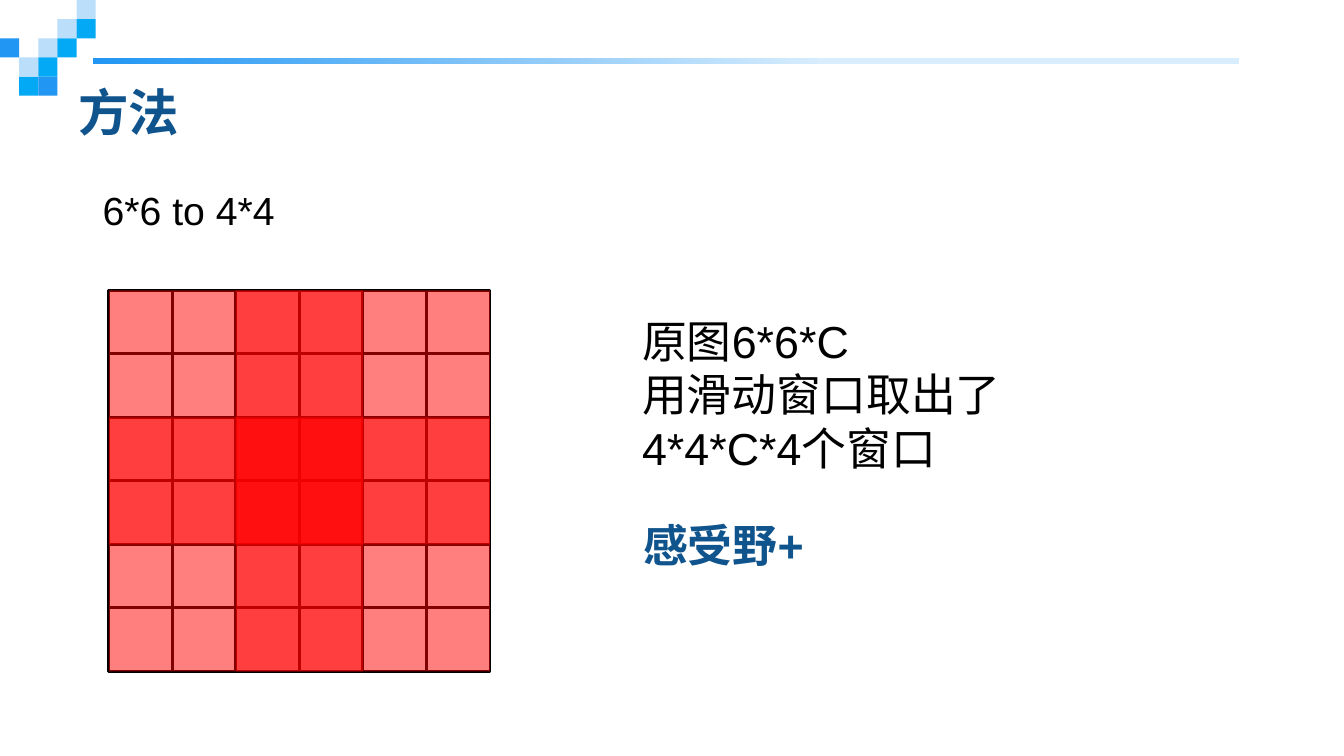
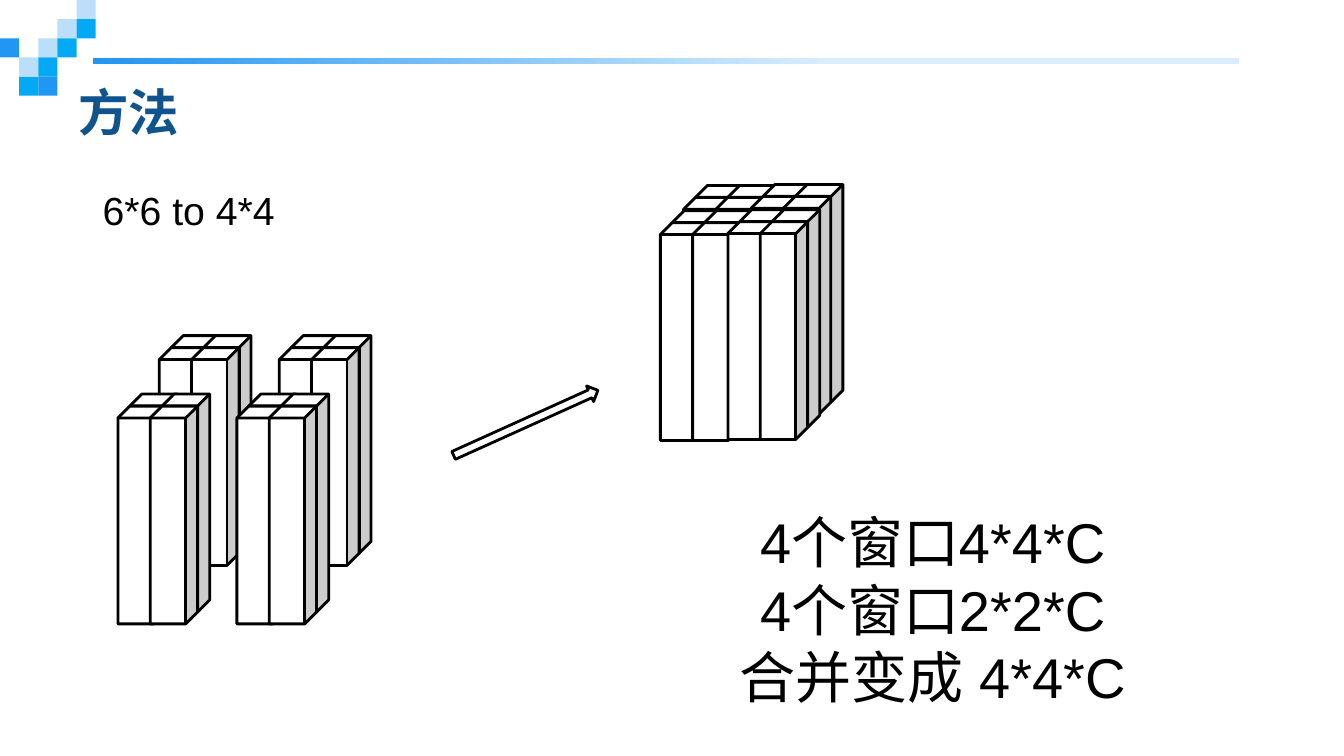
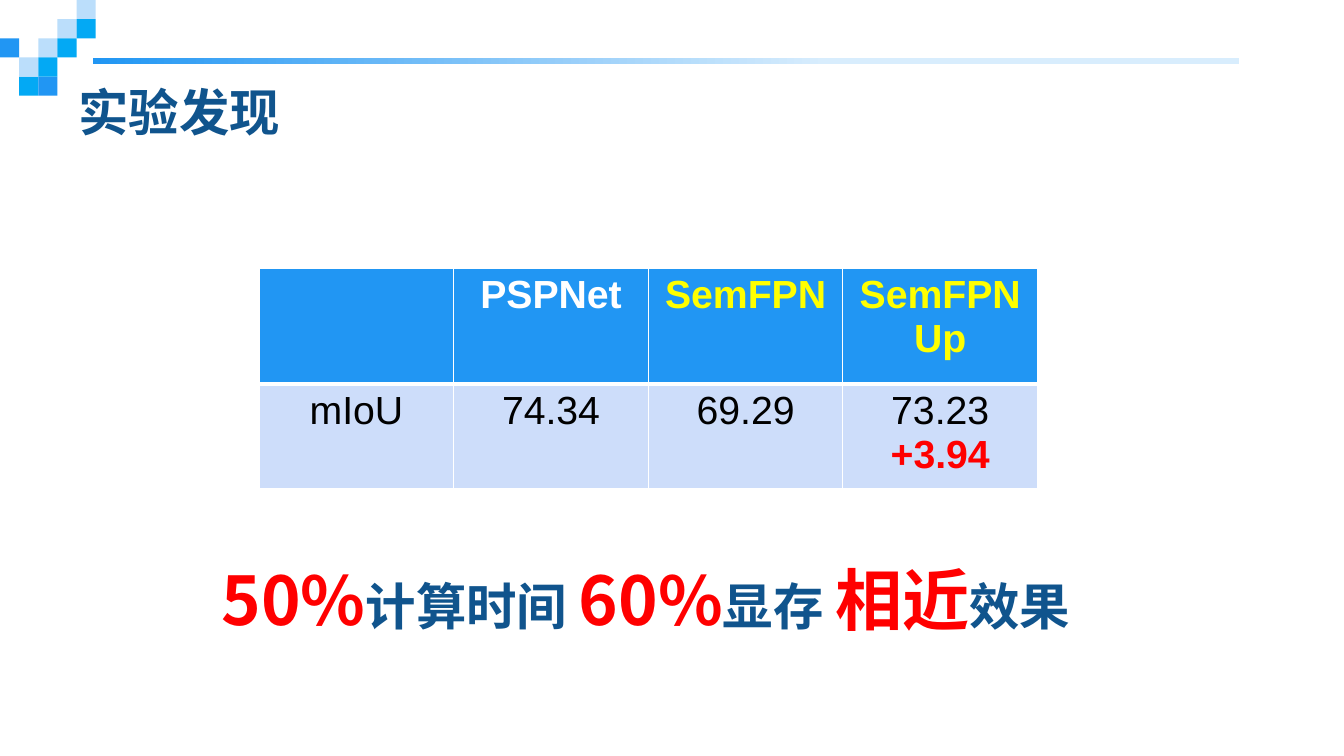
"""Build three slides on window-based downsampling and its results."""
from dataclasses import dataclass
from itertools import product

from lxml.etree import SubElement
from pptx import Presentation
from pptx.dml.color import RGBColor
from pptx.enum.shapes import MSO_SHAPE
from pptx.enum.text import MSO_ANCHOR, MSO_AUTO_SIZE, PP_ALIGN
from pptx.oxml.ns import qn
from pptx.shapes.autoshape import Shape
from pptx.slide import Slide
from pptx.table import _Cell
from pptx.text.text import TextFrame
from pptx.util import Inches, Pt

COLORS = {
    "white": "FFFFFF",
    "black": "000000",
    "navy": "10548D",
    "blue": "2196F3",
    "sky": "03A9F4",
    "pale": "BBDEFB",
    "mist": "D8EDFD",
    "body": "CDDDFA",
    "red": "FF0000",
    "yellow": "FFFF00",
}
ARIAL = "Arial"
NOTO = "Noto Sans CJK SC"
PAGELLA = "TeX Gyre Pagella"


@dataclass(frozen=True)
class Span:
    """A run of text with its look."""
    text: str
    size: float = 28
    color: str = "black"
    bold: bool = False
    font: str = ARIAL


@dataclass(frozen=True)
class Box:
    """A rectangle in inches."""
    left: float
    top: float
    width: float
    height: float


@dataclass(frozen=True)
class Tile:
    """A square of the corner mosaic."""
    column: int
    row: int
    color: str


@dataclass(frozen=True)
class Bundle:
    """The place of a two by two bundle of bars."""
    left: float
    top: float


Lines = list[list[Span]]

TILE_SIZE = 0.19
TILES = [
    Tile(1, 4, "sky"), Tile(3, 1, "pale"), Tile(4, 0, "pale"), Tile(2, 4, "blue"),
    Tile(4, 1, "sky"), Tile(2, 2, "pale"), Tile(0, 2, "blue"), Tile(3, 2, "sky"),
    Tile(1, 3, "pale"), Tile(2, 3, "sky"),
]
CELL_SIZE = 0.63
GRID_LEFT, GRID_TOP = 1.08, 2.88
BAR_STEP, BAR_DEPTH = 0.32, 0.12
BUNDLES = [
    Bundle(1.58, 3.33), Bundle(2.77, 3.33), Bundle(1.17, 3.91), Bundle(2.35, 3.91),
    Bundle(6.78, 1.84), Bundle(7.45, 1.83), Bundle(6.55, 2.09), Bundle(7.22, 2.08),
]


def rgb(name: str) -> RGBColor:
    """Look up a colour."""
    return RGBColor.from_string(COLORS[name])


def add_figure(page: Slide, kind: MSO_SHAPE, box: Box, color: str, outlined: bool = False) -> Shape:
    """Draw a filled preset shape."""
    figure = page.shapes.add_shape(
        kind, Inches(box.left), Inches(box.top), Inches(box.width), Inches(box.height))
    figure.shadow.inherit = False
    figure.fill.solid()
    figure.fill.fore_color.rgb = rgb(color)
    if outlined:
        figure.line.color.rgb = rgb("black")
        figure.line.width = Pt(2)
    else:
        figure.line.fill.background()
    return figure


def write_lines(frame: TextFrame, lines: Lines, align: PP_ALIGN) -> None:
    """Write paragraphs run by run."""
    for index, spans in enumerate(lines):
        para = frame.add_paragraph() if index else frame.paragraphs[0]
        para.alignment = align
        for span in spans:
            run = para.add_run()
            run.text = span.text
            run.font.size = Pt(span.size)
            run.font.bold = span.bold
            run.font.name = span.font
            run.font.color.rgb = rgb(span.color)
            east_asian = SubElement(run.font._element, qn("a:ea"))
            east_asian.set("typeface", ARIAL if span.font == ARIAL else NOTO)


def add_text(page: Slide, box: Box, lines: Lines, align: PP_ALIGN = PP_ALIGN.LEFT) -> None:
    """Add a top-anchored text box that grows with its text."""
    text_box = page.shapes.add_textbox(
        Inches(box.left), Inches(box.top), Inches(box.width), Inches(box.height))
    frame = text_box.text_frame
    frame.word_wrap = True
    frame.auto_size = MSO_AUTO_SIZE.SHAPE_TO_FIT_TEXT
    write_lines(frame, lines, align)


def add_panel(page: Slide, box: Box, spans: list[Span]) -> None:
    """Add a white panel with one vertically centred line."""
    frame = add_figure(page, MSO_SHAPE.RECTANGLE, box, "white").text_frame
    frame.word_wrap = True
    frame.vertical_anchor = MSO_ANCHOR.MIDDLE
    write_lines(frame, [spans], PP_ALIGN.LEFT)


def add_page(deck: Presentation, title: str, font: str = PAGELLA, width: float = 10.87) -> Slide:
    """Add a slide with the shared band, mosaic and title."""
    page = deck.slides.add_slide(deck.slide_layouts[6])
    band = add_figure(page, MSO_SHAPE.RECTANGLE, Box(0.92, 0.58, 11.37, 0.06), "blue")
    band.fill.gradient()
    band.fill.gradient_angle = 0
    for stop, color, position in zip(band.fill.gradient_stops, ("blue", "mist"), (0, 0.64)):
        stop.color.rgb = rgb(color)
        stop.position = position
    for tile in TILES:
        box = Box(tile.column * TILE_SIZE, tile.row * TILE_SIZE, TILE_SIZE, TILE_SIZE)
        add_figure(page, MSO_SHAPE.RECTANGLE, box, tile.color)
    add_panel(page, Box(0.68, 0.75, width, 0.71), [Span(title, 36, "navy", True, font)])
    return page


def add_method_page(deck: Presentation) -> Slide:
    """Add a method slide with its caption."""
    page = add_page(deck, "方法")
    add_text(page, Box(0.92, 1.8, 2.99, 0.57), [[Span("6*6 to 4*4")]])
    return page


def add_windows_page(deck: Presentation) -> None:
    """Show four overlapping windows on a six by six grid."""
    page = add_method_page(deck)
    for row, column in product(range(6), repeat=2):
        box = Box(GRID_LEFT + column * CELL_SIZE, GRID_TOP + row * CELL_SIZE, CELL_SIZE, CELL_SIZE)
        add_figure(page, MSO_SHAPE.RECTANGLE, box, "white", outlined=True)
    add_text(page, Box(6.27, 3.06, 5.2, 1.72), [
        [Span("原图6*6*C", 32)],
        [Span("用滑动窗口取出了4*4*C*4个窗口", 32)],
    ])
    window_size = 4 * CELL_SIZE
    for row, column in product((0, 2), repeat=2):
        box = Box(GRID_LEFT + column * CELL_SIZE, GRID_TOP + row * CELL_SIZE,
                  window_size, window_size)
        window = add_figure(page, MSO_SHAPE.RECTANGLE, box, "red")
        color = window._element.spPr.find(qn("a:solidFill"))[0]
        SubElement(color, qn("a:alpha")).set("val", "50000")
    add_text(page, Box(6.28, 5.09, 5.2, 0.64), [[Span("感受野+", 32, "navy", True)]])


def add_merge_page(deck: Presentation) -> None:
    """Show four bundles of bars merging into one block."""
    page = add_method_page(deck)
    lines = [[Span(text, 40)] for text in ("4个窗口4*4*C", "4个窗口2*2*C", "合并变成 4*4*C")]
    add_text(page, Box(6.65, 4.99, 5.2, 2.12), lines, PP_ALIGN.CENTER)
    for bundle in BUNDLES:
        for row, column in product(range(2), repeat=2):
            box = Box(bundle.left + (1 - row) * BAR_DEPTH + column * BAR_STEP,
                      bundle.top + row * BAR_DEPTH, 0.47, 2.16)
            add_figure(page, MSO_SHAPE.CUBE, box, "white", outlined=True)
    arrow = add_figure(page, MSO_SHAPE.RIGHT_ARROW, Box(4.43, 4.11, 1.57, 0.17), "white", True)
    arrow.rotation = 335.7


def set_borders(cell: _Cell, bottom: float) -> None:
    """Give a cell white borders, ahead of its fill."""
    properties = cell._tc.get_or_add_tcPr()
    for index, (side, width) in enumerate((("L", 1), ("R", 1), ("T", 1), ("B", bottom))):
        border = SubElement(properties, qn(f"a:ln{side}"))
        border.set("w", str(Pt(width)))
        fill = SubElement(border, qn("a:solidFill"))
        SubElement(fill, qn("a:srgbClr")).set("val", COLORS["white"])
        properties.insert(index, border)


def add_results_page(deck: Presentation) -> None:
    """Show the score table and the savings."""
    page = add_page(deck, "实验发现", NOTO, 9.13)
    rows: list[list[Lines]] = [
        [
            [],
            [[Span("PSPNet", color="white", bold=True)]],
            [[Span("SemFPN", color="yellow", bold=True)]],
            [[Span(text, color="yellow", bold=True)] for text in ("SemFPN", "Up")],
        ],
        [
            [[Span("mIoU")]],
            [[Span("74.34")]],
            [[Span("69.29")]],
            [[Span("73.23")], [Span("+3.94", color="red", bold=True)]],
        ],
    ]
    table = page.shapes.add_table(
        2, 4, Inches(2.57), Inches(2.66), Inches(7.72), Inches(1.86)).table
    for column in table.columns:
        column.width = Inches(1.93)
    for row, height, cells, color, bottom in zip(
            table.rows, (1.15, 0.71), rows, ("blue", "body"), (3, 1)):
        row.height = Inches(height)
        for cell, lines in zip(row.cells, cells):
            cell.fill.solid()
            cell.fill.fore_color.rgb = rgb(color)
            set_borders(cell, bottom)
            write_lines(cell.text_frame, lines, PP_ALIGN.CENTER)
    phrases = [("50%", "计算时间 "), ("60%", "显存 "), ("相近", "效果")]
    spans = [
        span for strong, plain in phrases
        for span in (Span(strong, 48, "red", True, NOTO), Span(plain, 36, "navy", True, NOTO))
    ]
    add_panel(page, Box(2.1, 5.15, 9.13, 1.57), spans)


def main() -> None:
    """Build and save the deck."""
    deck = Presentation()
    deck.slide_width = Inches(13.33)
    deck.slide_height = Inches(7.5)
    add_windows_page(deck)
    add_merge_page(deck)
    add_results_page(deck)
    deck.save("out.pptx")


if __name__ == "__main__":
    main()
